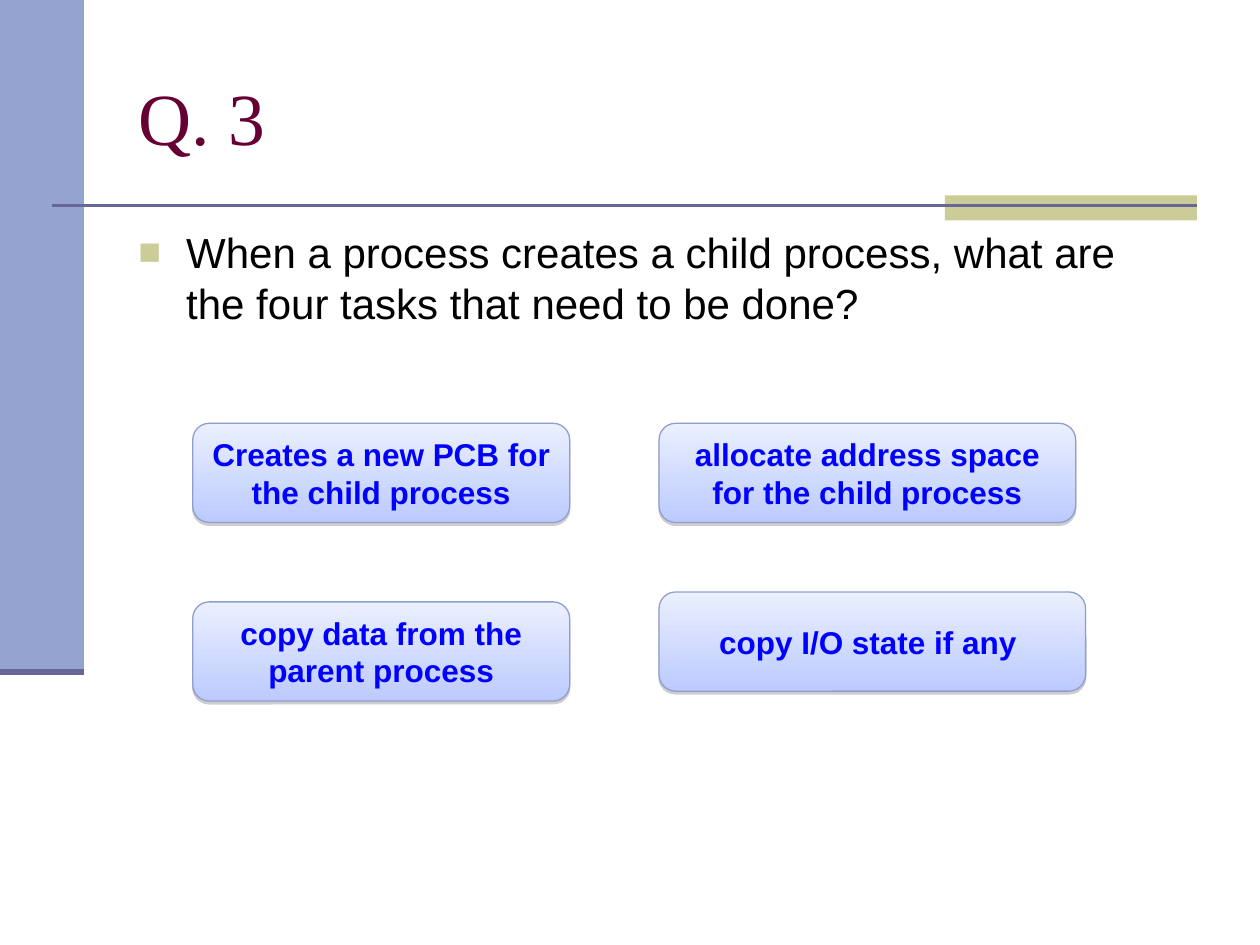
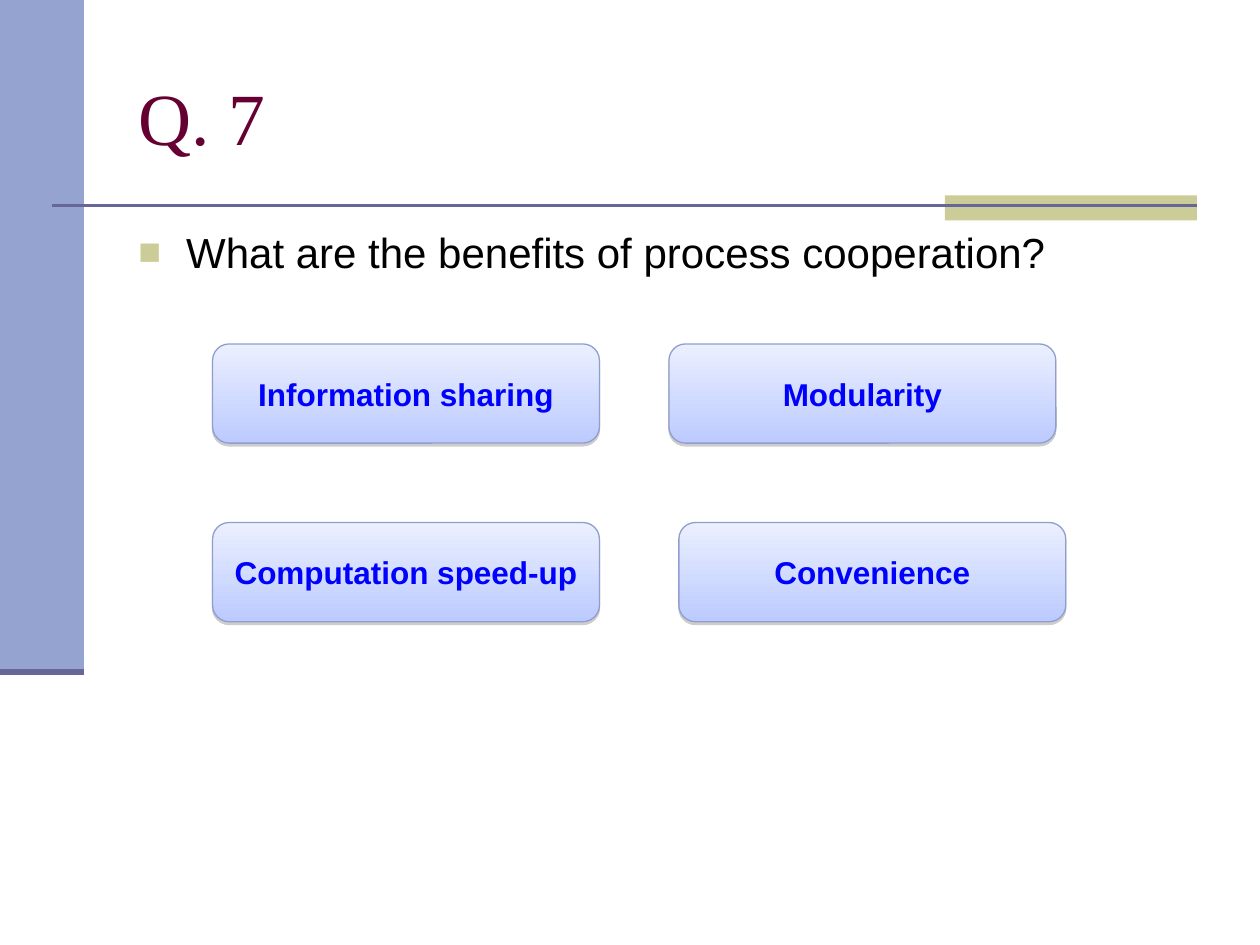
from dataclasses import dataclass

from lxml.etree import SubElement
from pptx import Presentation
from pptx.dml.color import RGBColor
from pptx.enum.shapes import MSO_CONNECTOR, MSO_SHAPE
from pptx.enum.text import MSO_ANCHOR, PP_ALIGN
from pptx.oxml.ns import qn
from pptx.util import Inches, Pt


@dataclass(frozen=True)
class Theme:
    band: str = "95A3D1"
    rule: str = "666699"
    accent: str = "CCCC99"
    title: str = "660033"
    body: str = "000000"
    answer: str = "0000FF"
    answer_top: str = "EBF0FF"
    answer_bottom: str = "BCCAFF"
    answer_edge: str = "909ECE"
    shadow: str = "808080"
    serif: str = "Times New Roman"
    sans: str = "Arial"
    title_size: int = 42
    body_size: int = 24
    answer_size: int = 18


THEME = Theme()

# The frame sits on a grid of 120 columns by 90 rows.
COLUMNS, ROWS = 120, 90
UNIT = Inches(10) / COLUMNS

# The answers sit on a finer grid of 2 mm cells with its own origin.
ANSWER_UNIT = Inches(2 / 25.4)
ANSWER_LEFT, ANSWER_TOP = Inches(1.53), Inches(2.73)
ANSWER_HEIGHT = 10

BANDS = [((0, 0, 8, 64), THEME.band), ((90, 18.6, 24, 2.4), THEME.accent)]
RULES = [((5, 19.6, 114, 19.6), 1.5), ((0, 64, 8, 64), 3.5)]
TITLE_AREA = (12, 3.6, 102, 15)
QUESTION_AREA = (12, 21, 102, 61.8)

# Each answer: text, column, row and width in answer cells.
QUESTIONS = [
    ("Q. 3", "When a process creates a child process, what are the four tasks that need to be done?", [
        ("Creates a new PCB for the child process", 0, 8, 38),
        ("allocate address space for the child process", 47, 8, 42),
        ("copy data from the parent process", 0, 26, 38),
        ("copy I/O state if any ", 47, 25, 43),
    ]),
    ("Q. 7", "What are the benefits of process cooperation?", [
        ("Information sharing", 2, 0, 39),
        ("Computation speed-up", 2, 18, 39),
        ("Modularity", 48, 0, 39),
        ("Convenience", 49, 18, 39),
    ]),
]


def grid(spans, unit=UNIT):
    """Turn spans counted in grid cells into lengths."""
    return [round(span * unit) for span in spans]


def write_text(frame, text, *, size, color, font, bold=False, bullet=None,
               align=PP_ALIGN.LEFT, anchor=MSO_ANCHOR.TOP):
    frame.word_wrap = True
    frame.vertical_anchor = anchor
    paragraph = frame.paragraphs[0]
    paragraph.alignment = align
    if bullet:
        properties = paragraph._p.get_or_add_pPr()
        properties.set("marL", str(Inches(0.38)))
        properties.set("indent", str(-Inches(0.38)))
        bullet_color = SubElement(properties, qn("a:buClr"))
        SubElement(bullet_color, qn("a:srgbClr"), val=THEME.accent)
        SubElement(properties, qn("a:buSzPct"), val="90000")
        SubElement(properties, qn("a:buFont"), typeface=font)
        SubElement(properties, qn("a:buChar"), char=bullet)
    run = paragraph.add_run()
    run.text = text
    run.font.name = font
    run.font.size = Pt(size)
    run.font.bold = bold
    run.font.color.rgb = RGBColor.from_string(color)


deck = Presentation()
deck.slide_width, deck.slide_height = grid((COLUMNS, ROWS))

for title, question, answers in QUESTIONS:
    slide = deck.slides.add_slide(deck.slide_layouts[6])
    shapes = slide.shapes

    for area, color in BANDS:
        band = shapes.add_shape(MSO_SHAPE.RECTANGLE, *grid(area))
        band.shadow.inherit = False
        band.fill.solid()
        band.fill.fore_color.rgb = RGBColor.from_string(color)
        band.line.fill.background()

    for ends, weight in RULES:
        rule = shapes.add_connector(MSO_CONNECTOR.STRAIGHT, *grid(ends))
        rule.line.color.rgb = RGBColor.from_string(THEME.rule)
        rule.line.width = Pt(weight)
        SubElement(rule._element.spPr, qn("a:effectLst"))

    write_text(shapes.add_textbox(*grid(TITLE_AREA)).text_frame, title,
               size=THEME.title_size, color=THEME.title, font=THEME.serif,
               anchor=MSO_ANCHOR.MIDDLE)
    write_text(shapes.add_textbox(*grid(QUESTION_AREA)).text_frame, question,
               size=THEME.body_size, color=THEME.body, font=THEME.sans, bullet="■")

    for text, column, row, width in answers:
        left, top, wide, high = grid((column, row, width, ANSWER_HEIGHT), ANSWER_UNIT)
        answer = shapes.add_shape(MSO_SHAPE.ROUNDED_RECTANGLE,
                                  ANSWER_LEFT + left, ANSWER_TOP + top, wide, high)
        answer.fill.gradient()
        answer.fill.gradient_angle = 270
        for stop, color in zip(answer.fill.gradient_stops,
                               (THEME.answer_top, THEME.answer_bottom)):
            stop.color.rgb = RGBColor.from_string(color)
        answer.line.color.rgb = RGBColor.from_string(THEME.answer_edge)
        answer.line.width = Pt(0.75)

        answer.shadow.inherit = False
        effects = answer._element.spPr.find(qn("a:effectLst"))
        shadow = SubElement(effects, qn("a:outerShdw"), blurRad="0",
                            dist=str(Pt(1.6)), dir="5400000", rotWithShape="0")
        shade = SubElement(shadow, qn("a:srgbClr"), val=THEME.shadow)
        SubElement(shade, qn("a:alpha"), val="38000")

        write_text(answer.text_frame, text, size=THEME.answer_size,
                   color=THEME.answer, font=THEME.sans, bold=True,
                   align=PP_ALIGN.CENTER, anchor=MSO_ANCHOR.MIDDLE)

deck.save("out.pptx")
